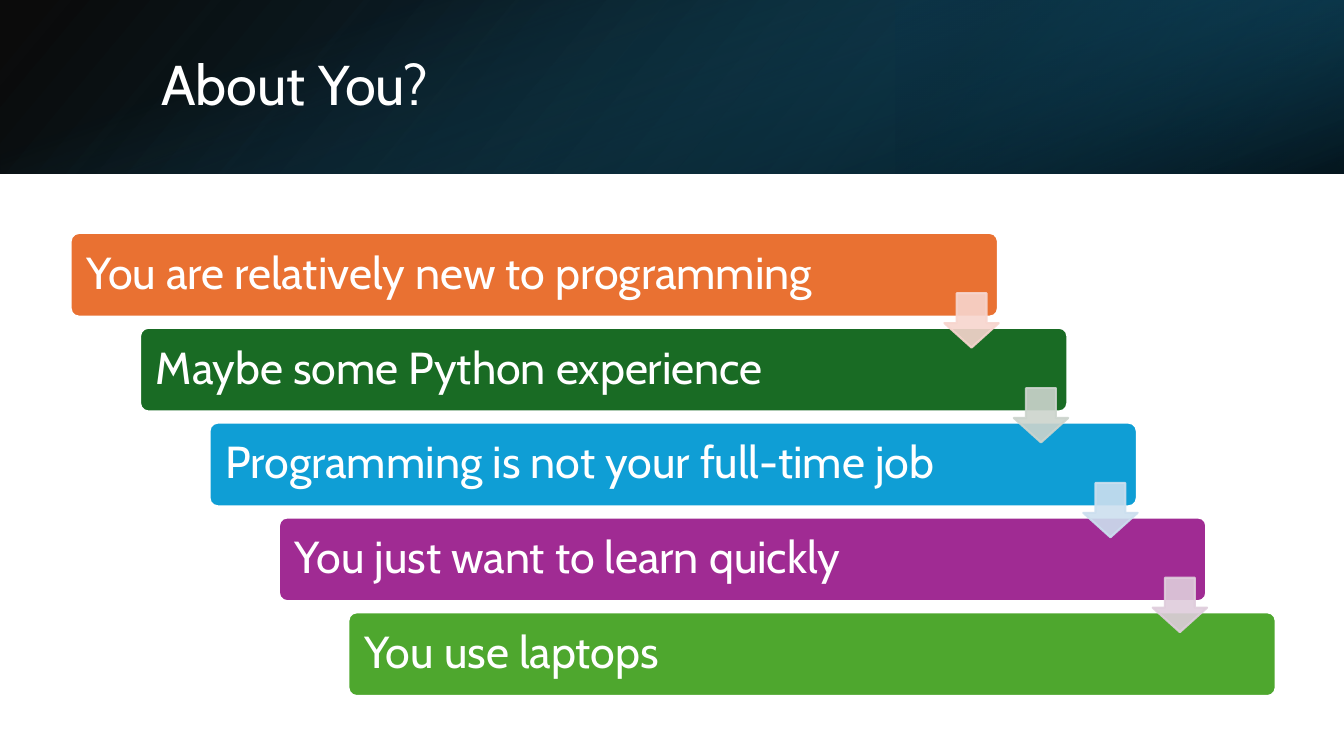
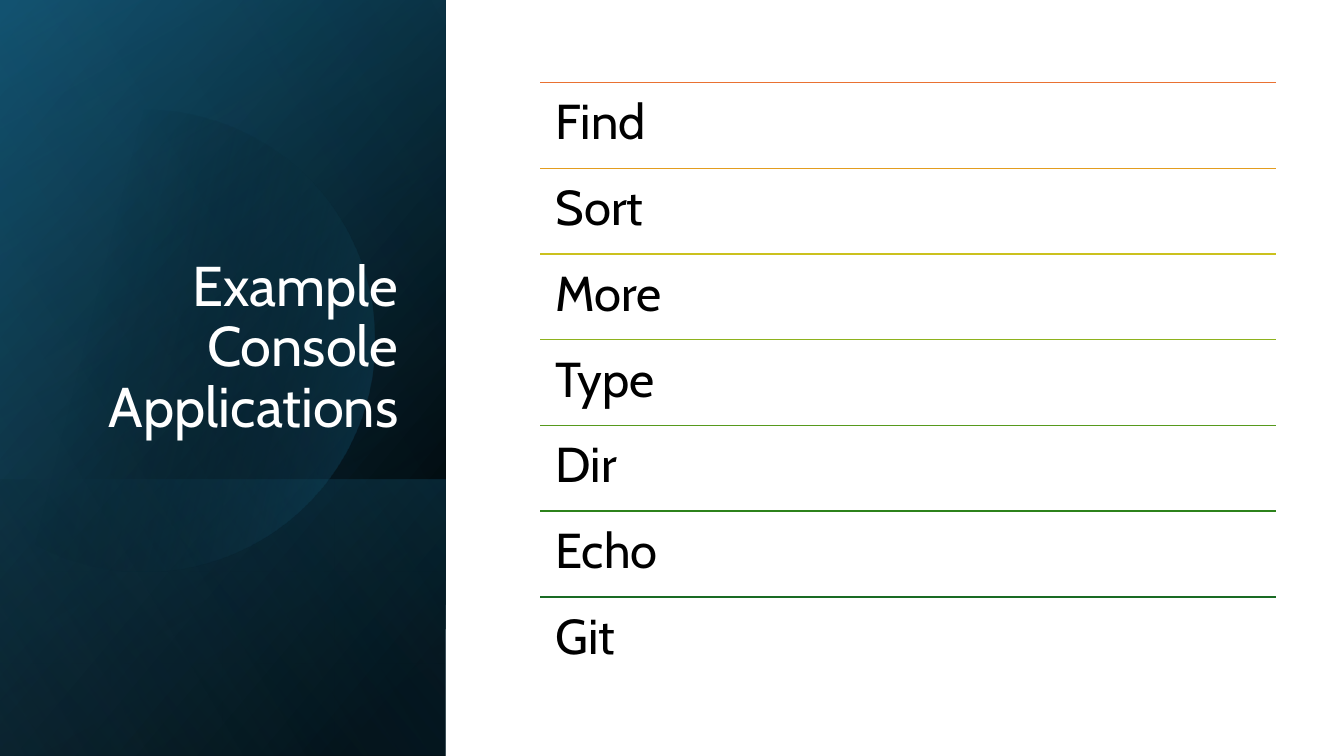
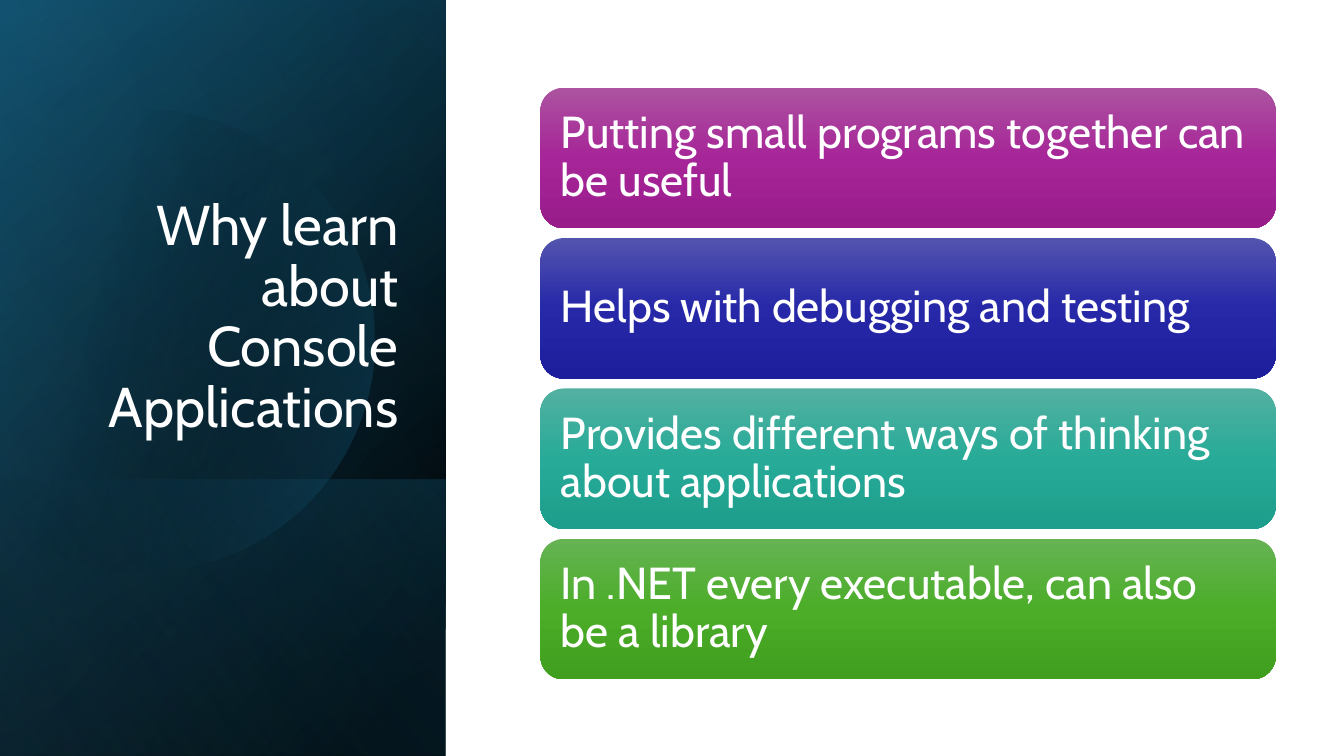
from dataclasses import dataclass
from math import acos, cos, pi, sin

from lxml import etree
from pptx import Presentation
from pptx import util as u
from pptx.dml.color import RGBColor
from pptx.enum import shapes as sh, text as tx
from pptx.oxml import ns, parse_xml

# Shared style
FONT = "Cabin"
WHITE = RGBColor(0xFF, 0xFF, 0xFF)
BLACK = RGBColor(0x00, 0x00, 0x00)
DEEP = RGBColor(0x10, 0x48, 0x62)
TEAL = RGBColor(0x15, 0x60, 0x82)
DUSK = RGBColor(0x0B, 0x30, 0x41)
SKY = RGBColor(0x46, 0xB1, 0xE1)
ORANGE = RGBColor(0xE9, 0x71, 0x32)
GREEN = RGBColor(0x19, 0x6B, 0x24)
BLUE = RGBColor(0x0F, 0x9E, 0xD5)
PLUM = RGBColor(0xA0, 0x2B, 0x93)
LEAF = RGBColor(0x4E, 0xA7, 0x2E)
ROSE = RGBColor(0xF7, 0xD5, 0xCE)
SAGE = RGBColor(0xCC, 0xD4, 0xCD)
ICE = RGBColor(0xCC, 0xDF, 0xEF)
MAUVE = RGBColor(0xDF, 0xCD, 0xDC)
AMBER = RGBColor(0xE3, 0x9D, 0x1F)
GOLD = RGBColor(0xCB, 0xC1, 0x1E)
LIME = RGBColor(0x8E, 0xB2, 0x1E)
MOSS = RGBColor(0x56, 0x99, 0x1D)
FERN = RGBColor(0x2C, 0x82, 0x1B)

WIDE, HIGH = 33.87, 19.05
BAND = 4.38
SIDE = 11.23
LEFT, SPAN = 13.62, 18.53
PAD = 0.34


@dataclass
class Box:
    x: float
    y: float
    w: float
    h: float

    def cm(self) -> tuple:
        return tuple(u.Cm(v) for v in (self.x, self.y, self.w, self.h))


@dataclass
class Stop:
    pos: int
    color: RGBColor
    alpha: int = 100


@dataclass
class Pane:
    box: Box  # as seen after turning
    stops: list
    angle: float
    turn: int = 0
    flip: bool = True


@dataclass
class Step:
    text: str
    color: RGBColor
    arrow: RGBColor | None = None


@dataclass
class Row:
    text: str
    color: RGBColor


@dataclass
class Card:
    text: str
    top: RGBColor
    mid: RGBColor
    low: RGBColor


BANDS = [
    Pane(Box(0, 0, WIDE, BAND), [Stop(0, BLACK, 96), Stop(100, DEEP)], 140),
    Pane(Box(22.58, 0, 11.29, BAND), [Stop(19, DUSK, 68), Stop(100, TEAL, 79)], 320, 180),
    Pane(Box(0, 0, WIDE, BAND), [Stop(23, TEAL, 0), Stop(99, BLACK, 74)], 340, 90, False),
]
FULL = Box(0, 0, SIDE, HIGH)
PANES = [
    Pane(FULL, [Stop(8, BLACK), Stop(100, DEEP)], 50, 90),
    Pane(FULL, [Stop(0, BLACK, 0), Stop(99, TEAL, 46)], 30, 90),
    Pane(Box(0, 12.09, SIDE, 6.96), [Stop(2, TEAL, 29), Stop(100, BLACK, 30)], 130, 90),
]
SHEEN = Pane(FULL, [Stop(0, BLACK, 0), Stop(99, SKY, 11)], 120, 90)

STEPS = [
    Step("You are relatively new to programming", ORANGE, ROSE),
    Step("Maybe some Python experience", GREEN, SAGE),
    Step("Programming is not your full-time job", BLUE, ICE),
    Step("You just want to learn quickly", PLUM, MAUVE),
    Step("You use laptops", LEAF),
]
ROWS = [
    Row("Find", ORANGE), Row("Sort", AMBER), Row("More", GOLD), Row("Type", LIME),
    Row("Dir", MOSS), Row("Echo", FERN), Row("Git", GREEN),
]
CARDS = [
    Card("Putting small programs together can be useful",
         RGBColor(0xAC, 0x53, 0xA0), RGBColor(0xA6, 0x25, 0x98), RGBColor(0x99, 0x1C, 0x8B)),
    Card("Helps with debugging and testing",
         RGBColor(0x53, 0x54, 0xAE), RGBColor(0x26, 0x28, 0xA8), RGBColor(0x1D, 0x1E, 0x9B)),
    Card("Provides different ways of thinking about applications",
         RGBColor(0x53, 0xB0, 0xA1), RGBColor(0x27, 0xAB, 0x98), RGBColor(0x1D, 0x9D, 0x8B)),
    Card("In .NET every executable, can also be a library",
         RGBColor(0x66, 0xB3, 0x54), RGBColor(0x4B, 0xAD, 0x28), RGBColor(0x40, 0x9F, 0x1E)),
]


# Drawing tools
def blend(shape, stops: list, angle: float) -> None:
    """Fill a shape with a linear gradient, angle clockwise in degrees."""
    marks = "".join(
        f'<a:gs pos="{s.pos * 1000}"><a:srgbClr val="{s.color}">'
        f'<a:alpha val="{s.alpha * 1000}"/></a:srgbClr></a:gs>' for s in stops)
    grad = parse_xml(
        f'<a:gradFill {ns.nsdecls("a")} rotWithShape="1"><a:gsLst>{marks}</a:gsLst>'
        f'<a:lin ang="{round(angle * 60000)}" scaled="0"/></a:gradFill>')
    shape.fill.background()
    props = shape.element.spPr
    props.replace(props.find(ns.qn("a:noFill")), grad)


def fade(shape, alpha: int) -> None:
    """Make the fill and line of a shape see-through."""
    for tint in shape.element.spPr.iter(ns.qn("a:srgbClr")):
        etree.SubElement(tint, ns.qn("a:alpha")).set("val", str(alpha * 1000))


def solid(slide, kind, box: Box, color: RGBColor, edge: RGBColor):
    shape = slide.shapes.add_shape(kind, *box.cm())
    shape.shadow.inherit = False
    shape.fill.solid()
    shape.fill.fore_color.rgb = color
    shape.line.color.rgb = edge
    shape.line.width = u.Pt(1.5)
    return shape


def plain(slide, kind, box: Box, stops: list, angle: float):
    shape = slide.shapes.add_shape(kind, *box.cm())
    shape.shadow.inherit = False
    shape.line.fill.background()
    blend(shape, stops, angle)
    return shape


def pane(slide, part: Pane) -> None:
    b = part.box
    if part.turn == 90:
        b = Box(b.x + (b.w - b.h) / 2, b.y + (b.h - b.w) / 2, b.h, b.w)
    shape = plain(slide, sh.MSO_SHAPE.RECTANGLE, b, part.stops, part.angle)
    shape.rotation = part.turn
    if part.flip:
        shape.element.spPr.find(ns.qn("a:xfrm")).set("flipH", "1")


def write(shape, words: str, size: int, color: RGBColor = WHITE, pad: float = PAD,
          anchor=tx.MSO_ANCHOR.MIDDLE, align=tx.PP_ALIGN.LEFT) -> None:
    frame = shape.text_frame
    frame.text = words
    frame.word_wrap = True
    frame.auto_size = tx.MSO_AUTO_SIZE.NONE
    frame.vertical_anchor = anchor
    frame.margin_left = frame.margin_right = u.Cm(pad)
    frame.margin_top = frame.margin_bottom = u.Cm(pad)
    para = frame.paragraphs[0]
    para.alignment = align
    para.line_spacing = 0.9
    font = para.runs[0].font
    font.name, font.size, font.color.rgb = FONT, u.Pt(size), color


def title(slide, words: str, box: Box, anchor, align) -> None:
    shape = slide.shapes.title
    shape.left, shape.top, shape.width, shape.height = box.cm()
    write(shape, words, 40, pad=0.25, anchor=anchor, align=align)
    shape.element.getparent().append(shape.element)  # bring to front


def disc(slide) -> None:
    """Circle cut off by the left edge of the slide."""
    mid, down, rad = 3.63, 8.59, 5.82
    reach = acos(-mid / rad)
    turns = [reach * (i / 60 - 1) for i in range(121)]
    dots = [(u.Cm(mid + rad * cos(t)), u.Cm(down + rad * sin(t))) for t in turns]
    form = slide.shapes.build_freeform(*dots[0])
    form.add_line_segments(dots[1:], close=True)
    shape = form.convert_to_shape()
    shape.shadow.inherit = False
    shape.line.fill.background()
    blend(shape, [Stop(29, BLACK, 0), Stop(100, TEAL, 43)], 14)


def start(deck):
    return deck.slides.add_slide(deck.slide_layouts[5])


def split(deck, words: str):
    """Slide with the dark side panel and its title."""
    slide = start(deck)
    for part in PANES:
        pane(slide, part)
    disc(slide)
    pane(slide, SHEEN)
    title(slide, words, Box(1.63, 4.67, 8.66, 6.65),
          tx.MSO_ANCHOR.BOTTOM, tx.PP_ALIGN.RIGHT)
    return slide


# Slides
def about(deck) -> None:
    slide = start(deck)
    for part in BANDS:
        pane(slide, part)
    title(slide, "About You?", Box(3.81, 0.97, 27.89, 2.44),
          tx.MSO_ANCHOR.MIDDLE, tx.PP_ALIGN.LEFT)
    over, down = 1.75, 2.39
    for i, step in enumerate(STEPS):
        box = Box(1.78 + i * over, 5.87 + i * down, 23.37, 2.11)
        bar = solid(slide, sh.MSO_SHAPE.ROUNDED_RECTANGLE, box, step.color, WHITE)
        bar.adjustments[0] = 0.1
        write(bar, step.text, 32)
    for i, step in enumerate(STEPS):
        if step.arrow is None:
            continue
        box = Box(23.8 + i * over, 7.39 + i * down, 1.37, 1.37)
        arrow = solid(slide, sh.MSO_SHAPE.DOWN_ARROW, box, step.arrow, step.arrow)
        arrow.adjustments[0], arrow.adjustments[1] = 0.55, 0.45
        fade(arrow, 90)


def tools(deck) -> None:
    slide = split(deck, "Example Console Applications")
    pitch = 2.16
    for i, row in enumerate(ROWS):
        box = Box(LEFT, 2.08 + i * pitch, SPAN, pitch)
        x, y, w, _ = box.cm()
        rule = slide.shapes.add_connector(sh.MSO_CONNECTOR.STRAIGHT, x, y, x + w, y)
        rule.line.color.rgb = row.color
        rule.line.width = u.Pt(1)
        etree.SubElement(rule.element.spPr, ns.qn("a:effectLst"))
        write(slide.shapes.add_textbox(*box.cm()), row.text, 35, BLACK, 0.38,
              tx.MSO_ANCHOR.TOP)


def why(deck) -> None:
    slide = split(deck, "Why learn about Console Applications")
    for i, card in enumerate(CARDS):
        stops = [Stop(0, card.top), Stop(50, card.mid), Stop(100, card.low)]
        shape = plain(slide, sh.MSO_SHAPE.ROUNDED_RECTANGLE,
                      Box(LEFT, 2.21 + i * 3.79, SPAN, 3.54), stops, 90)
        write(shape, card.text, 32)


def main() -> None:
    deck = Presentation()
    deck.slide_width, deck.slide_height = u.Cm(WIDE), u.Cm(HIGH)
    about(deck)
    tools(deck)
    why(deck)
    deck.save("out.pptx")


if __name__ == "__main__":
    main()
